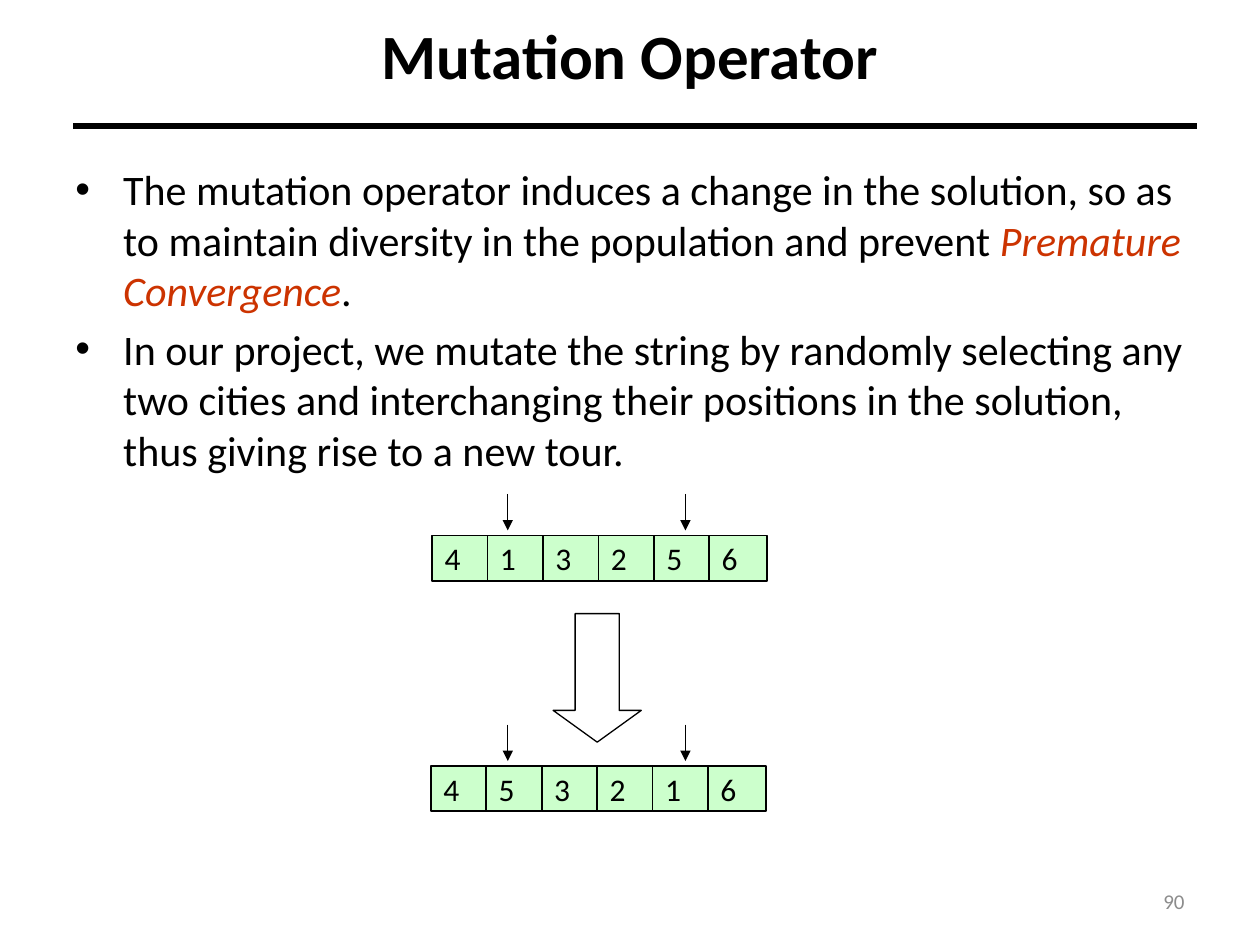
from lxml import etree
from pptx import Presentation
from pptx.dml.color import RGBColor
from pptx.enum.shapes import MSO_CONNECTOR, MSO_SHAPE
from pptx.enum.text import MSO_ANCHOR, PP_ALIGN
from pptx.oxml.ns import qn
from pptx.util import Inches, Pt

RECT, DOWN = MSO_SHAPE.RECTANGLE, MSO_SHAPE.DOWN_ARROW
STRAIGHT = MSO_CONNECTOR.STRAIGHT
MIDDLE, TOP = MSO_ANCHOR.MIDDLE, MSO_ANCHOR.TOP
LEFT, CENTER, RIGHT = PP_ALIGN.LEFT, PP_ALIGN.CENTER, PP_ALIGN.RIGHT


def color(code):
    return RGBColor.from_string(code)


class Deck:
    face = "Calibri"
    ink, red, gray = "000000", "CC3300", "8C8C8C"
    green, white = "CCFFCC", "FFFFFF"

    def __init__(self, slide):
        self.slide = slide

    def style(self, run, size, code=ink, bold=False, italic=False):
        font = run.font
        font.name, font.size = self.face, Pt(size)
        font.bold, font.italic = bold, italic
        font.color.rgb = color(code)

    def box(self, x, y, w, h, anchor=MIDDLE):
        area = self.slide.shapes.add_textbox(
            Inches(x), Inches(y), Inches(w), Inches(h))
        frame = area.text_frame
        frame.word_wrap = True
        frame.vertical_anchor = anchor
        return frame

    def label(self, text, x, y, w, h, size, align, **look):
        frame = self.box(x, y, w, h)
        frame.text = text
        para = frame.paragraphs[0]
        para.alignment = align
        self.style(para.runs[0], size, **look)

    def bullets(self, items, x, y, w, h, size):
        """Each item is a list of (text, is_term) parts."""
        frame = self.box(x, y, w, h, TOP)
        for i, parts in enumerate(items):
            para = frame.add_paragraph() if i else frame.paragraphs[0]
            props = para._p.get_or_add_pPr()
            props.set("marL", str(Inches(0.38)))
            props.set("indent", str(-Inches(0.38)))
            etree.SubElement(props, qn("a:buFont")).set("typeface", "Arial")
            etree.SubElement(props, qn("a:buChar")).set("char", "•")
            if i:
                para.space_before = Pt(0.2 * size)
            for text, term in parts:
                run = para.add_run()
                run.text = text
                self.style(run, size, self.red if term else self.ink,
                           italic=term)

    def shape(self, shapes, kind, x, y, w, h, fill, width):
        item = shapes.add_shape(
            kind, Inches(x), Inches(y), Inches(w), Inches(h))
        item.shadow.inherit = False
        item.fill.solid()
        item.fill.fore_color.rgb = color(fill)
        item.line.color.rgb = color(self.ink)
        item.line.width = Pt(width)
        return item

    def tour(self, cities, x, y):
        """Draw a row of city cells as one group."""
        group = self.slide.shapes.add_group_shape()
        for i, city in enumerate(cities):
            cell = self.shape(group.shapes, RECT, x + 0.44 * i, y,
                              0.46, 0.36, self.green, 1)
            frame = cell.text_frame
            frame.word_wrap = False
            frame.vertical_anchor = MIDDLE
            frame.text = city
            para = frame.paragraphs[0]
            para.alignment = LEFT
            self.style(para.runs[0], 18)

    def line(self, x1, y1, x2, y2, width, arrow=False):
        link = self.slide.shapes.add_connector(
            STRAIGHT, Inches(x1), Inches(y1), Inches(x2), Inches(y2))
        link.line.color.rgb = color(self.ink)
        link.line.width = Pt(width)
        if arrow:
            tail = etree.SubElement(link.line._get_or_add_ln(),
                                    qn("a:tailEnd"))
            tail.set("type", "triangle")
        etree.SubElement(link._element.spPr, qn("a:effectLst"))


def main():
    prs = Presentation()
    prs.slide_width, prs.slide_height = Inches(10), Inches(7.5)
    deck = Deck(prs.slides.add_slide(prs.slide_layouts[6]))

    deck.label("90", 7.17, 6.95, 2.33, 0.4, 12, RIGHT, code=deck.gray)
    deck.label("Mutation Operator", 0.5, 0.04, 9, 0.78, 36, CENTER, bold=True)
    deck.bullets([
        [("The mutation operator induces a change in the solution, so as to "
          "maintain diversity in the population and prevent ", False),
         ("Premature Convergence", True), (".", False)],
        [("In our project, we mutate the string by randomly selecting any "
          "two cities and interchanging their positions in the solution, "
          "thus giving rise to a new tour.", False)],
    ], 0.5, 1.25, 9, 5.42, 24)

    for cities, x, y in (("413256", 3.43, 4.25), ("453216", 3.42, 6.08)):
        deck.tour(cities, x, y)
        for mark in (4.03, 5.44):
            deck.line(mark, y - 0.33, mark, y - 0.04, 0.75, arrow=True)

    step = deck.shape(deck.slide.shapes, DOWN, 4.39, 4.87, 0.7, 1.02,
                      deck.white, 0.75)
    step.adjustments[0], step.adjustments[1] = 0.5, 0.36
    deck.line(0.58, 1, 9.5, 1, 3)

    prs.save("out.pptx")


if __name__ == "__main__":
    main()
